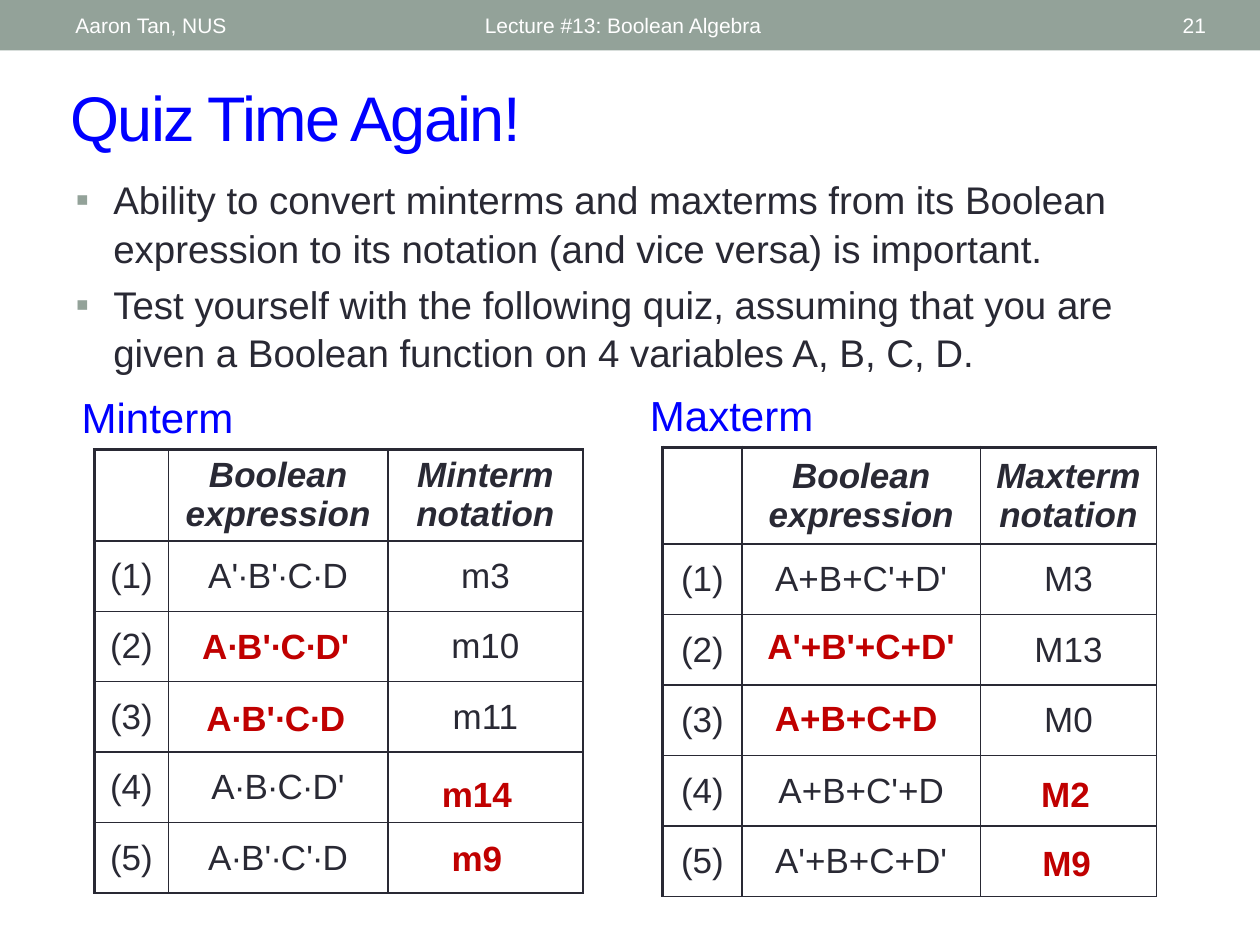
from lxml import etree
from pptx import Presentation
from pptx.dml.color import RGBColor
from pptx.enum.shapes import MSO_SHAPE
from pptx.enum.text import MSO_ANCHOR, MSO_AUTO_SIZE, PP_ALIGN
from pptx.oxml.ns import qn
from pptx.util import Pt

LEFT, CENTER, RIGHT = PP_ALIGN.LEFT, PP_ALIGN.CENTER, PP_ALIGN.RIGHT
TOP, MIDDLE = MSO_ANCHOR.TOP, MSO_ANCHOR.MIDDLE
FONT = "Arial"
COLORS = {"band": "93A299", "white": "FFFFFF", "ink": "292934",
          "heading": "0000FF", "answer": "C00000"}

TITLE = "Quiz Time Again!"
BULLETS = [
    "Ability to convert minterms and maxterms from its Boolean expression "
    "to its notation (and vice versa) is important.",
    "Test yourself with the following quiz, assuming that you are given a "
    "Boolean function on 4 variables A, B, C, D.",
]
# text, left, width, alignment
BAND_TEXTS = [
    ("Aaron Tan, NUS", 36, 228, LEFT),
    ("Lecture #13: Boolean Algebra", 270, 324, LEFT),
    ("21", 627.8, 68.4, RIGHT),
]
ROW_HEIGHT = 40.3
QUIZZES = [
    {"name": "Minterm", "label_at": (39.6, 220.3), "table_at": (54, 257),
     "columns": (42.3, 125.3, 111.6), "header_height": 52,
     "rows": [("A'∙B'∙C∙D", "m3"), ("", "m10"), ("", "m11"),
              ("A∙B∙C∙D'", ""), ("A∙B'∙C'∙D", "")]},
    {"name": "Maxterm", "label_at": (364.3, 218.9), "table_at": (378.7, 255.6),
     "columns": (45.4, 136.1, 100.8), "header_height": 55.4,
     "rows": [("A+B+C'+D'", "M3"), ("", "M13"), ("", "M0"),
              ("A+B+C'+D", ""), ("A'+B+C+D'", "")]},
]
# text, left, top, width
ANSWERS = [
    ("A∙B'∙C∙D'", 97.9, 353.5, 119.5),
    ("A∙B'∙C∙D", 97.9, 394.6, 119.5),
    ("m14", 231.1, 437.8, 82.8),
    ("m9", 238.3, 474.5, 68.4),
    ("A'+B'+C+D'", 422.6, 353.5, 139),
    ("A+B+C+D", 419.8, 394.6, 139),
    ("M2", 567.4, 437.8, 82.8),
    ("M9", 568.1, 477.4, 82.8),
]


def rgb(name):
    """Return the named colour."""
    return RGBColor.from_string(COLORS[name])


def write(para, text, size=20, color="ink", align=LEFT, bold=False, italic=False):
    """Put one formatted span into a paragraph and return it."""
    para.alignment = align
    span = para.add_run()
    span.text = text
    font = span.font
    font.name, font.size, font.bold, font.italic = FONT, Pt(size), bold, italic
    font.color.rgb = rgb(color)
    return span


def place(shape, left, top, width, height):
    """Move and size a shape, in points."""
    shape.left, shape.top = Pt(left), Pt(top)
    shape.width, shape.height = Pt(width), Pt(height)


def add_text(page, text, left, top, width, height, anchor=TOP, **style):
    """Add a wrapping text box with one paragraph."""
    box = page.shapes.add_textbox(Pt(left), Pt(top), Pt(width), Pt(height))
    box.text_frame.word_wrap = True
    box.text_frame.vertical_anchor = anchor
    write(box.text_frame.paragraphs[0], text, **style)


def add_bullet(para, char, color, indent):
    """Give a paragraph a hanging coloured bullet."""
    props = para._p.get_or_add_pPr()
    props.set("marL", str(Pt(indent)))
    props.set("indent", str(-Pt(indent)))
    tint = etree.SubElement(props, qn("a:buClr"))
    etree.SubElement(tint, qn("a:srgbClr"), val=COLORS[color])
    etree.SubElement(props, qn("a:buFont"), typeface=FONT)
    etree.SubElement(props, qn("a:buChar"), char=char)


def set_borders(cell, **widths):
    """Draw the cell's edges; widths are keyed L, R, T and B."""
    props = cell._tc.get_or_add_tcPr()
    for side, width in widths.items():
        line = etree.SubElement(props, qn("a:ln" + side), w=str(Pt(width)))
        fill = etree.SubElement(line, qn("a:solidFill"))
        etree.SubElement(fill, qn("a:srgbClr"), val=COLORS["ink"])


def add_quiz(page, quiz):
    """Add a label and its quiz table."""
    add_text(page, quiz["name"], *quiz["label_at"], 110.9, 36,
             size=24, color="heading")
    rows = [("", "Boolean expression", quiz["name"] + " notation")]
    rows += [(f"({number})", *row) for number, row in enumerate(quiz["rows"], 1)]
    heights = [quiz["header_height"]] + [ROW_HEIGHT] * len(quiz["rows"])
    left, top = quiz["table_at"]
    table = page.shapes.add_table(
        len(rows), len(quiz["columns"]), Pt(left), Pt(top),
        Pt(sum(quiz["columns"])), Pt(sum(heights))).table
    table.first_row = table.horz_banding = False
    for column, width in zip(table.columns, quiz["columns"]):
        column.width = Pt(width)
    for r, (texts, height) in enumerate(zip(rows, heights)):
        table.rows[r].height = Pt(height)
        for c, text in enumerate(texts):
            cell = table.cell(r, c)
            set_borders(cell, L=1 if c else 2.25, R=1, T=1 if r else 2.25, B=1)
            cell.fill.background()
            cell.vertical_anchor = MIDDLE
            cell.margin_top = cell.margin_bottom = Pt(2)
            if text:
                write(cell.text_frame.paragraphs[0], text, align=CENTER,
                      bold=r == 0, italic=r == 0)


def main():
    """Build and save the slide."""
    deck = Presentation()
    deck.slide_width, deck.slide_height = Pt(720), Pt(540)
    page = deck.slides.add_slide(deck.slide_layouts[1])

    band = page.shapes.add_shape(MSO_SHAPE.RECTANGLE, 0, 0, Pt(720), Pt(28.8))
    band.shadow.inherit = False
    band.fill.solid()
    band.fill.fore_color.rgb = rgb("band")
    band.line.fill.background()
    for text, left, width, align in BAND_TEXTS:
        add_text(page, text, left, 1.4, width, 25.9, anchor=MIDDLE,
                 size=12, color="white", align=align)

    title, body = page.shapes.title, page.placeholders[1]
    place(title, 33.1, 41, 653, 50.4)
    place(body, 36, 95.8, 635.8, 123.1)
    for box, anchor in ((title, MIDDLE), (body, TOP)):
        box.text_frame.auto_size = MSO_AUTO_SIZE.NONE
        box.text_frame.vertical_anchor = anchor
    span = write(title.text_frame.paragraphs[0], TITLE, size=36, color="heading")
    span._r.get_or_add_rPr().set("spc", "-100")
    for index, text in enumerate(BULLETS):
        frame = body.text_frame
        para = frame.add_paragraph() if index else frame.paragraphs[0]
        para.line_spacing, para.space_before = 1.05, Pt(4.4)
        add_bullet(para, "▪", "band", 21.6)
        write(para, text, size=22)

    for quiz in QUIZZES:
        add_quiz(page, quiz)
    for text, left, top, width in ANSWERS:
        add_text(page, text, left, top, width, 31.7,
                 color="answer", align=CENTER, bold=True)
    deck.save("out.pptx")


main()
